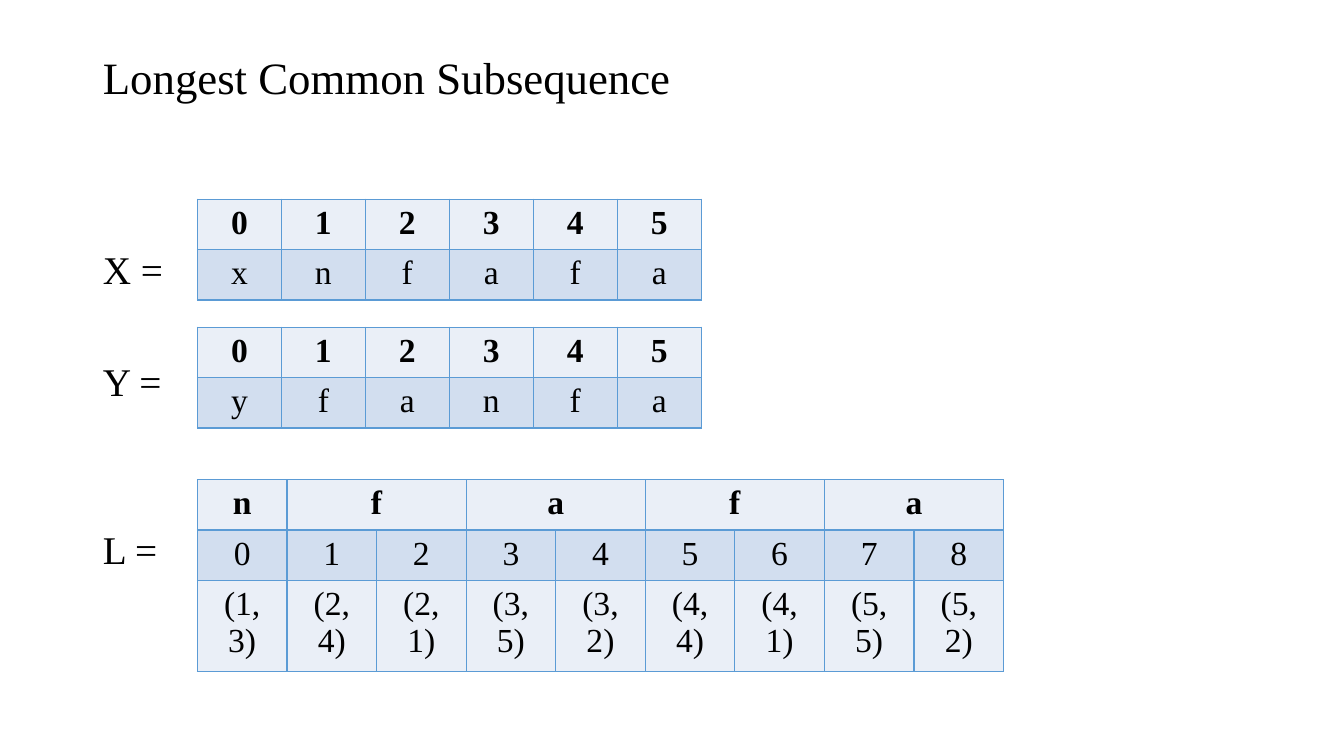
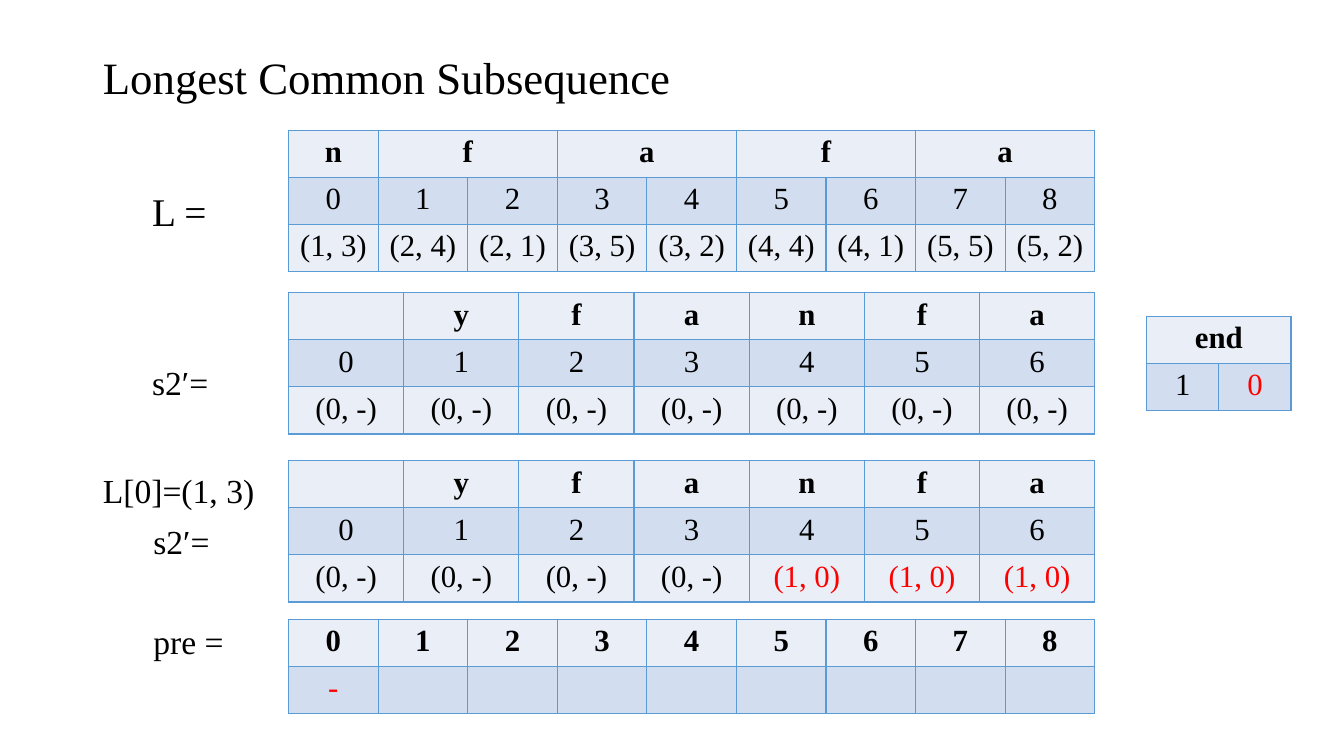
from lxml import etree
from pptx import Presentation
from pptx import util as u
from pptx.dml.color import RGBColor
from pptx.enum import text
from pptx.oxml.ns import qn

FONT = "Times New Roman"
BLACK = RGBColor(0x00, 0x00, 0x00)
RED = RGBColor(0xFF, 0x00, 0x00)
BORDER = RGBColor(0x5B, 0x9B, 0xD5)
BANDS = [RGBColor(0xEA, 0xEF, 0xF7), RGBColor(0xD2, 0xDE, 0xEF)]

deck = Presentation()
deck.slide_width, deck.slide_height = u.Inches(13.333), u.Inches(7.5)

# Layout grid: 160 columns by 90 rows
COL = deck.slide_width / 160
ROW = deck.slide_height / 90
MARGIN = 12.25
INDENT = 18.1
LABEL_WIDTH = 22


def add_label(slide, wording, left, middle, size, width=LABEL_WIDTH, height=6):
    """Left-aligned text, centred vertically on a grid row."""
    box = slide.shapes.add_textbox(round(left * COL), round((middle - height / 2) * ROW),
                                   round(width * COL), round(height * ROW))
    frame = box.text_frame
    frame.word_wrap = True
    frame.margin_left = frame.margin_right = frame.margin_top = frame.margin_bottom = 0
    frame.vertical_anchor = text.MSO_ANCHOR.MIDDLE
    frame.text = wording
    font = frame.paragraphs[0].runs[0].font
    font.name, font.size, font.color.rgb = FONT, u.Pt(size), BLACK


def add_grid(slide, rows, left, top, width, heights, size, red=()):
    """Banded table with a bold first row; None extends the cell before it."""
    count = len(rows[0])
    table = slide.shapes.add_table(len(rows), count, round(left * COL), round(top * ROW),
                                   round(width * COL), round(sum(heights) * ROW)).table
    table.first_row = table.horz_banding = False
    for column in table.columns:
        column.width = round(width * COL / count)
    for r, (values, height) in enumerate(zip(rows, heights)):
        table.rows[r].height = round(height * ROW)
        for c, value in enumerate(values):
            cell = table.cell(r, c)
            # Borders go before the fill in the cell properties
            properties = cell._tc.get_or_add_tcPr()
            for side in ("a:lnL", "a:lnR", "a:lnT", "a:lnB"):
                line = etree.SubElement(properties, qn(side), w=str(u.Pt(1)))
                paint = etree.SubElement(line, qn("a:solidFill"))
                etree.SubElement(paint, qn("a:srgbClr"), val=str(BORDER))
            cell.fill.solid()
            cell.fill.fore_color.rgb = BANDS[r % 2]
            if value is None:
                table.cell(r, c - 1).merge(cell)
                continue
            cell.text = value
            paragraph = cell.text_frame.paragraphs[0]
            paragraph.alignment = text.PP_ALIGN.CENTER
            for run in paragraph.runs:
                run.font.name, run.font.size = FONT, u.Pt(size)
                run.font.bold = r == 0
                run.font.color.rgb = RED if (r, c) in red else BLACK


# Content used by both slides
matches = [
    ["n", "f", None, "a", None, "f", None, "a", None],
    list("012345678"),
    ["(1, 3)", "(2, 4)", "(2, 1)", "(3, 5)", "(3, 2)", "(4, 4)", "(4, 1)", "(5, 5)", "(5, 2)"],
]
sequences, first_step = [deck.slides.add_slide(deck.slide_layouts[6]) for _ in range(2)]
for slide in (sequences, first_step):
    add_label(slide, "Longest Common Subsequence", MARGIN, 9.15, 32, width=135)

# Slide 1: the two sequences and their match list
for wording, middle in [("X =", 31.95), ("Y =", 45.35), ("L =", 65.4)]:
    add_label(sequences, wording, MARGIN, middle, 28)
for letters, top in [("xnfafa", 23.7), ("yfanfa", 38.95)]:
    add_grid(sequences, [list("012345"), list(letters)], 23.5, top, 60, [5.65] * 2, 24)
add_grid(sequences, matches, 23.5, 57.1, 96, [5.65, 5.65, 10], 24)

# Slide 2: labels beside the tables
for wording, left, middle, size in [
    ("L =", INDENT, 25.15, 28),
    ("s2′=", INDENT, 45.5, 24),
    ("L[0]=(1, 3)", MARGIN, 58.35, 24),
    ("s2′=", INDENT + 0.15, 64.4, 24),
    ("pre =", INDENT + 0.15, 76.35, 24),
]:
    add_label(first_step, wording, left, middle, size, width=34 - left)

# Slide 2: match list, s2′ before and after the step, predecessors, end
letters = ["", *"yfanfa"]
before = ["(0, -)"] * 7
after = ["(0, -)"] * 4 + ["(1, 0)"] * 3
for rows, top, height, red in [
    (matches, 15.5, 5.37, ()),
    ([letters, list("0123456"), before], 34.85, 5.26, ()),
    ([letters, list("0123456"), after], 54.85, 5.26, [(2, 4), (2, 5), (2, 6)]),
    ([list("012345678"), ["-"] + [""] * 8], 73.75, 5.25, [(1, 0)]),
]:
    add_grid(first_step, rows, 34.35, top, 96, [height] * len(rows), 22, red)
add_grid(first_step, [["end", None], ["1", "0"]], 136.5, 37.65, 17.2, [5.25] * 2, 22, [(1, 1)])

deck.save("out.pptx")
